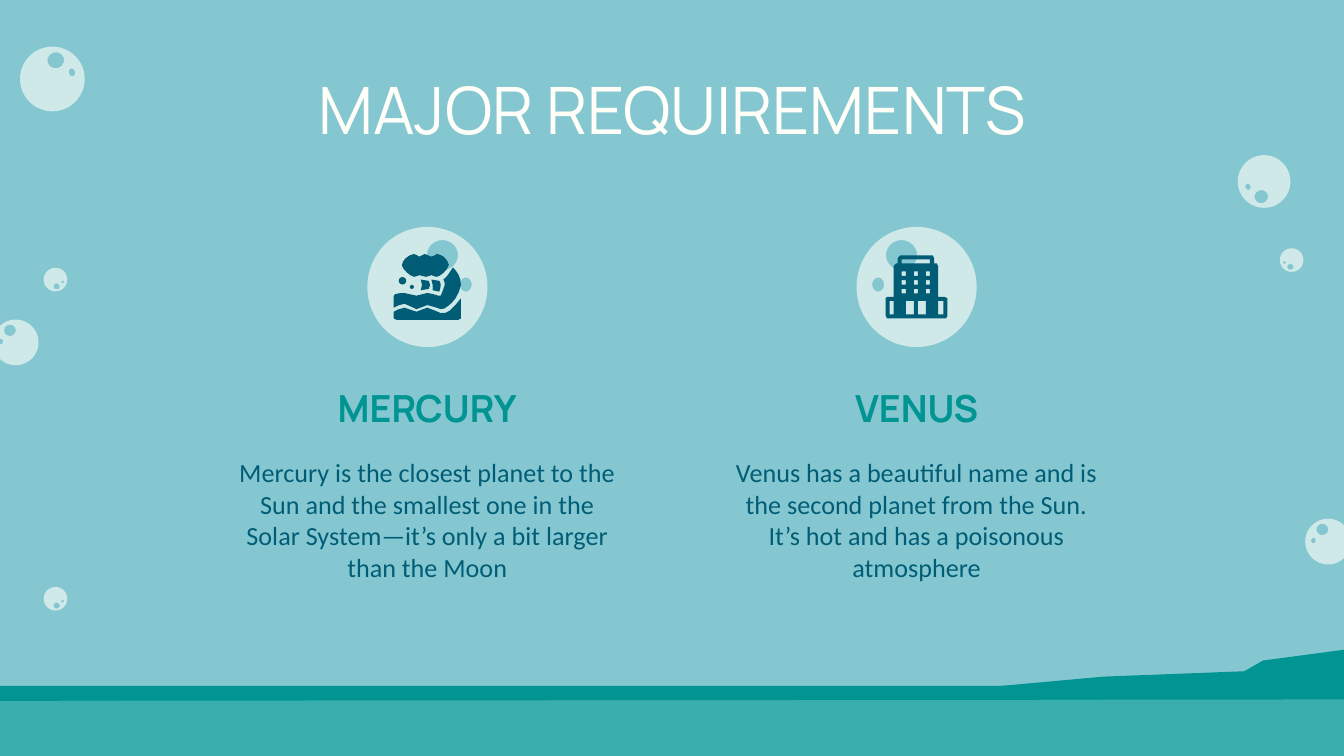
from dataclasses import dataclass

from lxml import etree
from pptx import Presentation
from pptx.dml.color import RGBColor
from pptx.enum.shapes import MSO_SHAPE
from pptx.enum.text import MSO_ANCHOR, MSO_AUTO_SIZE, PP_ALIGN
from pptx.oxml.ns import qn
from pptx.util import Inches, Pt

RECTANGLE, OVAL = MSO_SHAPE.RECTANGLE, MSO_SHAPE.OVAL
MIDDLE, CENTER, NO_FIT = MSO_ANCHOR.MIDDLE, PP_ALIGN.CENTER, MSO_AUTO_SIZE.NONE

WATER = RGBColor(0x84, 0xC7, 0xD1)
SEABED = RGBColor(0x3A, 0xAE, 0xAD)
TEAL = RGBColor(0x00, 0x95, 0x93)
NAVY = RGBColor(0x01, 0x5D, 0x76)
CREAM = RGBColor(0xFF, 0xFE, 0xF8)

# The slide is a grid of 1000 columns; rows have the same size.
COLUMNS = 1000
SLIDE_WIDTH = Inches(10)
SLIDE_HEIGHT = SLIDE_WIDTH * 9 // 16
CELL = SLIDE_WIDTH // COLUMNS
ROWS = SLIDE_HEIGHT / CELL
SEABED_TOP = 511
QUARTER_TURN = 90 * 60000

Point = tuple[float, float]
Contour = list[Point]


@dataclass(frozen=True)
class Ellipse:
    x: float
    y: float
    rx: float
    ry: float


@dataclass(frozen=True)
class Bubble:
    x: float
    y: float
    radius: float
    turn: float = 0
    mirrored: bool = False


@dataclass(frozen=True)
class Requirement:
    left: int
    heading: str
    body: str


# Body and two holes of a bubble, in shares of its radius.
BUBBLE_PARTS = [Ellipse(0, 0, 1, 1), Ellipse(0.25, -0.53, 0.26, 0.25),
                Ellipse(0.64, -0.04, 0.1, 0.12)]
BUBBLES = [
    Bubble(940.5, 135, 19.6, 165),
    Bubble(961, 193.5, 8.8, 165),
    Bubble(39, 58.8, 24.1, -15),
    Bubble(41.2, 208, 8.8, 195, True),
    Bubble(11.7, 254.8, 17, 0, True),
    Bubble(41.2, 445.5, 8.8, 195, True),
    Bubble(988.2, 403, 17, 0, True),
    Bubble(318, 213.5, 44.7),
    Bubble(682, 213.5, 44.7, 0, True),
]
REQUIREMENTS = [
    Requirement(168, "MERCURY", "Mercury is the closest planet to the Sun and the smallest one "
                "in the Solar System—it’s only a bit larger than the Moon"),
    Requirement(532, "VENUS", "Venus has a beautiful name and is the second planet from the Sun. "
                "It’s hot and has a poisonous atmosphere"),
]
TITLE_FORMAT = {"name": "Manrope", "size": Pt(35), "bold": False}
HEADING_FORMAT = {"name": "Manrope", "size": Pt(20), "bold": True}
BODY_FORMAT = {"name": "Calibri", "size": Pt(14), "bold": False}

HILLS = [
    [(1000, 484), (940, 492), (926, 500), (821, 504), (744, 511), (1000, 511)],
    [(0, 511), (0, 521), (1000, 520), (1000, 511)],
]
# Each outline is a list of smooth arcs; corners lie where arcs meet.
CLOUD = [[(325, 189), (321, 191), (316, 189), (312, 191), (308, 189), (302, 192), (299, 197.5),
          (303, 203), (308, 206), (312, 204.8), (317, 206), (321, 204.8), (325, 206),
          (330, 203), (334, 197), (330, 191), (325, 189)]]
INNER_CURL = [[(313, 208), (314, 212), (313, 216)], [(319, 215), (320, 212), (319, 209)]]
OUTER_CURL = [[(321, 208), (322, 212), (322, 216)], [(327, 217), (328, 212), (327, 209)]]
CREST = [
    [(337, 199), (333, 205), (330, 208)],
    [(330, 208), (331, 212), (328, 220)],
    [(326, 220), (318, 218), (310, 220), (301, 218), (294, 219), (293, 221)],
    [(293, 229), (301, 226), (310, 230), (318, 227), (328, 230), (333, 228), (339, 222),
     (343, 212), (341, 204), (337, 199)],
]
SEA = [
    [(343, 222), (335, 231), (328, 233), (318, 229), (310, 232), (301, 229), (293, 232)],
    [(293, 237), (295, 238)],
    [(341, 238), (343, 237)],
]
DROPS = [Ellipse(306.5, 213.5, 1.5, 1.5), Ellipse(299.5, 209, 2.8, 2.8)]
HOTEL_WALLS = [
    (668, 196), (668, 192), (670, 190), (694, 190), (695, 192), (695, 196), (697, 196),
    (698, 198), (698, 221), (703, 221), (705, 222), (705, 235), (704, 237), (660, 237),
    (659, 235), (659, 222), (660, 221), (665, 221), (665, 198), (667, 196),
]
HOTEL_DOORS = [(662, 665), (674, 680), (683, 689), (698, 702)]


def box(left: float, top: float, right: float, bottom: float) -> Contour:
    return [(left, top), (right, top), (right, bottom), (left, bottom)]


def smooth(arcs: list[Contour], steps: int = 2) -> Contour:
    """Join Catmull-Rom curves through the points of each arc."""
    contour = []
    for arc in arcs:
        padded = [arc[0], *arc, arc[-1]]
        for a, b, c, d in zip(padded, padded[1:], padded[2:], padded[3:]):
            for t in (i / steps for i in range(steps)):
                contour.append(tuple(
                    q + t * (r - p) / 2 + t * t * (2 * p - 5 * q + 4 * r - s) / 2
                    + t ** 3 * (3 * q - p - 3 * r + s) / 2
                    for p, q, r, s in zip(a, b, c, d)))
        contour.append(arc[-1])
    return contour


def paint(shape, color: RGBColor) -> None:
    shape.shadow.inherit = False
    shape.fill.solid()
    shape.fill.fore_color.rgb = color
    shape.line.fill.background()


def draw_outline(slide, contours: list[Contour], color: RGBColor):
    """Fill the first contour; the later ones are holes in it."""
    first, *holes = [[(x * CELL, y * CELL) for x, y in contour] for contour in contours]
    builder = slide.shapes.build_freeform(*first[0], scale=1.0)
    builder.add_line_segments(first[1:])
    for hole in holes:
        builder.move_to(*hole[0])
        builder.add_line_segments(hole[1:])
    shape = builder.convert_to_shape()
    paint(shape, color)
    return shape


def draw_bubble(slide, bubble: Bubble) -> None:
    """Outline diamonds first, then round each side into a quarter arc."""
    flip = -1 if bubble.mirrored else 1
    r = bubble.radius
    diamonds, arcs = [], []
    for part in BUBBLE_PARTS:
        x, y = bubble.x + flip * part.x * r, bubble.y + part.y * r
        rx, ry = part.rx * r, part.ry * r
        diamonds.append([(x + rx, y), (x, y + ry), (x - rx, y), (x, y - ry), (x + rx, y)])
        arcs += [{"wR": round(rx * CELL), "hR": round(ry * CELL),
                  "stAng": quarter * QUARTER_TURN, "swAng": QUARTER_TURN} for quarter in range(4)]
    shape = draw_outline(slide, diamonds, CREAM)
    for side, arc in zip(list(shape._element.iter(qn("a:lnTo"))), arcs):
        rounded = etree.Element(qn("a:arcTo"), {key: str(value) for key, value in arc.items()})
        side.getparent().replace(side, rounded)
    shape.rotation = bubble.turn
    for rgb in shape._element.spPr.iter(qn("a:srgbClr")):
        etree.SubElement(rgb, qn("a:alpha"), val="61000")


def draw_wave(slide) -> None:
    for drop in DROPS:
        bounds = (drop.x - drop.rx, drop.y - drop.ry, 2 * drop.rx, 2 * drop.ry)
        paint(slide.shapes.add_shape(OVAL, *(round(v * CELL) for v in bounds)), NAVY)
    for arcs in (CLOUD, INNER_CURL, OUTER_CURL, CREST, SEA):
        draw_outline(slide, [smooth(arcs)], NAVY)


def draw_hotel(slide) -> None:
    windows = [box(x, y, x + 3, y + 3.3) for y in (202, 208.5, 215) for x in (671, 680, 689)]
    doors = [box(left, 224, right, 234) for left, right in HOTEL_DOORS]
    draw_outline(slide, [HOTEL_WALLS, box(671, 193, 692, 196), *windows, *doors], NAVY)


def add_text(slide, text: str, bounds: tuple, text_format: dict, color: RGBColor) -> None:
    frame = slide.shapes.add_textbox(*(v * CELL for v in bounds)).text_frame
    frame_format = {"word_wrap": True, "auto_size": NO_FIT, "vertical_anchor": MIDDLE}
    frame_format |= {f"margin_{side}": Inches(0.1) for side in ("left", "top", "right", "bottom")}
    for key, value in frame_format.items():
        setattr(frame, key, value)
    paragraph = frame.paragraphs[0]
    paragraph.alignment = CENTER
    run = paragraph.add_run()
    run.text = text
    for key, value in text_format.items():
        setattr(run.font, key, value)
    run.font.color.rgb = color


def main() -> None:
    prs = Presentation()
    prs.slide_width, prs.slide_height = SLIDE_WIDTH, SLIDE_HEIGHT
    slide = prs.slides.add_slide(prs.slide_layouts[6])
    slide.background.fill.solid()
    slide.background.fill.fore_color.rgb = WATER
    draw_outline(slide, [box(0, SEABED_TOP, COLUMNS, ROWS)], SEABED)
    for hill in HILLS:
        line = draw_outline(slide, [hill], TEAL).line
        line.color.rgb, line.width = TEAL, Pt(0.75)
    for bubble in BUBBLES:
        draw_bubble(slide, bubble)
    draw_wave(slide)
    draw_hotel(slide)
    add_text(slide, "MAJOR REQUIREMENTS", (79, 49, 843, 63), TITLE_FORMAT, CREAM)
    for item in REQUIREMENTS:
        add_text(slide, item.heading, (item.left, 273, 300, 61), HEADING_FORMAT, TEAL)
        add_text(slide, item.body, (item.left, 334, 300, 105), BODY_FORMAT, NAVY)
    prs.save("out.pptx")


if __name__ == "__main__":
    main()
